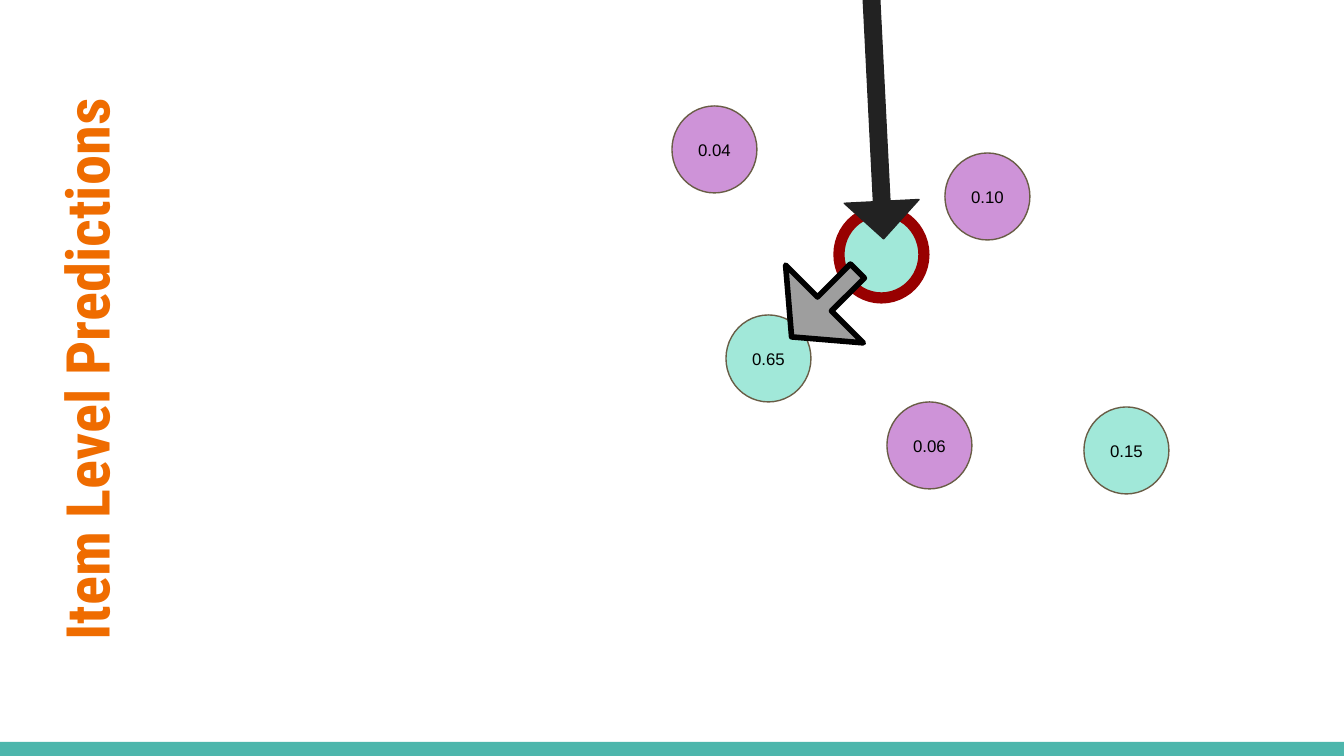
from dataclasses import dataclass

from pptx import Presentation
from pptx.dml.color import RGBColor
from pptx.enum.shapes import MSO_SHAPE
from pptx.enum.text import MSO_ANCHOR, PP_ALIGN
from pptx.slide import Slide
from pptx.util import Emu, Pt

PX_PER_INCH = 134.4
WIDTH, HEIGHT = 1344, 756
NODE_WIDTH, NODE_HEIGHT = 85, 87
MINT, PURPLE = "A1E8D9", "CE93D8"


def px(length):
    return Emu(round(length * 914400 / PX_PER_INCH))


def color(hex_value):
    return RGBColor.from_string(hex_value)


@dataclass
class Canvas:
    slide: Slide
    title_font: str = "Roboto Condensed"
    label_font: str = "Arial"
    title_color: str = "EF6C00"
    label_color: str = "000000"
    outline: str = "695D46"

    def shape(self, kind, box, fill, line=None, line_width=0.75):
        shape = self.slide.shapes.add_shape(kind, *map(px, box))
        shape.shadow.inherit = False
        shape.fill.solid()
        shape.fill.fore_color.rgb = color(fill)
        if line:
            shape.line.color.rgb = color(line)
            shape.line.width = Pt(line_width)
        else:
            shape.line.fill.background()
        return shape

    def add_text(self, shape, text, font, size, text_color, bold=False):
        """Put one centred, unwrapped line in the middle of a shape."""
        frame = shape.text_frame
        frame.word_wrap = False
        frame.vertical_anchor = MSO_ANCHOR.MIDDLE
        paragraph = frame.paragraphs[0]
        paragraph.alignment = PP_ALIGN.CENTER
        run = paragraph.add_run()
        run.text = text
        run.font.name = font
        run.font.size = Pt(size)
        run.font.bold = bold
        run.font.color.rgb = color(text_color)

    def vertical_title(self, text, box):
        title = self.slide.shapes.add_textbox(*map(px, box))
        title.rotation = 270
        self.add_text(title, text, self.title_font, 32.4, self.title_color, bold=True)

    def node(self, left, top, fill, label):
        box = (left, top, NODE_WIDTH, NODE_HEIGHT)
        node = self.shape(MSO_SHAPE.OVAL, box, fill, self.outline)
        self.add_text(node, label, self.label_font, 9, self.label_color)

    def current_node(self, left, top):
        """Draw the unlabelled node with a thick red ring."""
        box = (left, top, NODE_WIDTH, NODE_HEIGHT)
        self.shape(MSO_SHAPE.OVAL, box, MINT, "980000", 6)

    def arrow(self, box, rotation, shaft, fill, line, line_width):
        arrow = self.shape(MSO_SHAPE.RIGHT_ARROW, box, fill, line, line_width)
        arrow.adjustments[0] = shaft
        arrow.adjustments[1] = 0.5
        arrow.rotation = rotation


def main():
    presentation = Presentation()
    presentation.slide_width = px(WIDTH)
    presentation.slide_height = px(HEIGHT)
    canvas = Canvas(presentation.slides.add_slide(presentation.slide_layouts[6]))

    canvas.shape(MSO_SHAPE.RECTANGLE, (0, 742, WIDTH, 14), "4DB6AC")
    canvas.vertical_title("Item Level Predictions", (-285, 318, 741, 103))

    canvas.current_node(839, 211)
    for left, top, fill, label in (
        (726, 315, MINT, "0.65"),
        (887, 402, PURPLE, "0.06"),
        (945, 153, PURPLE, "0.10"),
        (1084, 407, MINT, "0.15"),
        (672, 106, PURPLE, "0.04"),
    ):
        canvas.node(left, top, fill, label)

    canvas.arrow((757, 81, 241, 75), 87.1, 0.22, "222222", "222222", 0.75)
    canvas.arrow((778, 249, 93, 110), 135, 0.18, "9E9E9E", "000000", 3)

    presentation.save("out.pptx")


if __name__ == "__main__":
    main()
